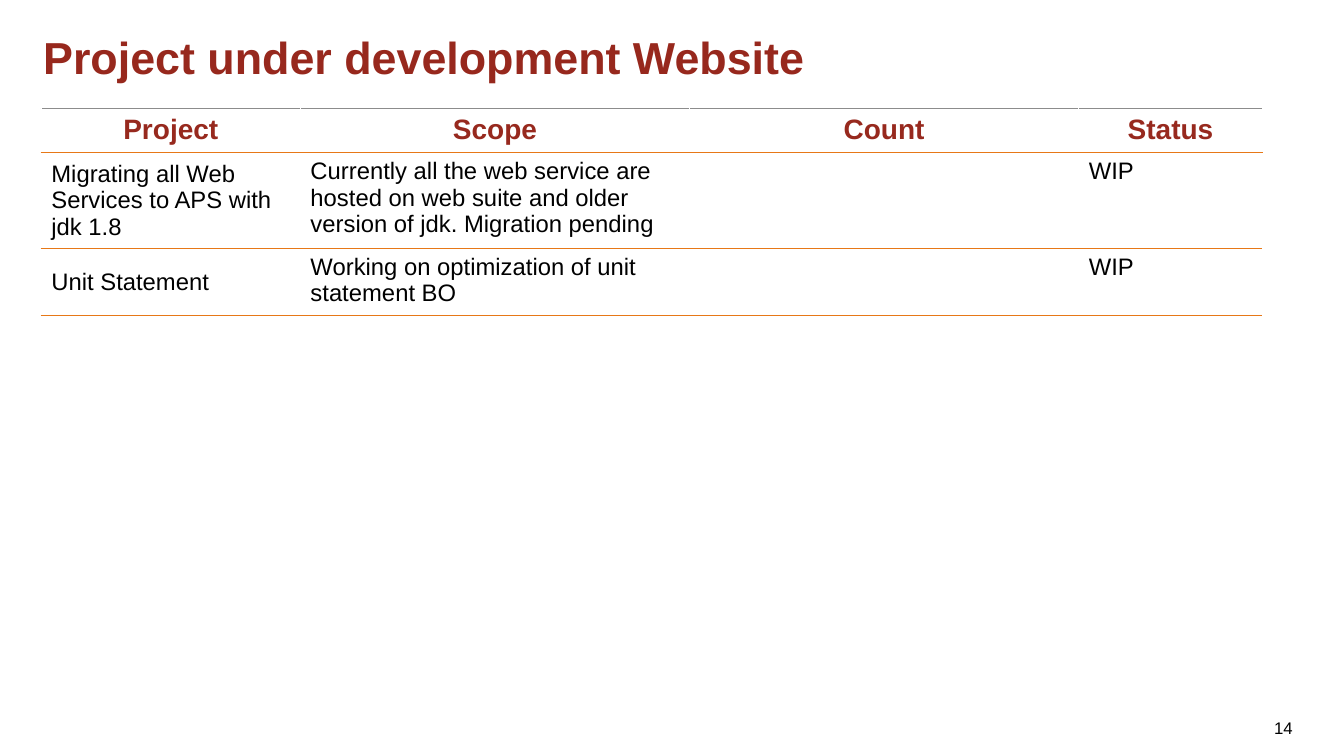
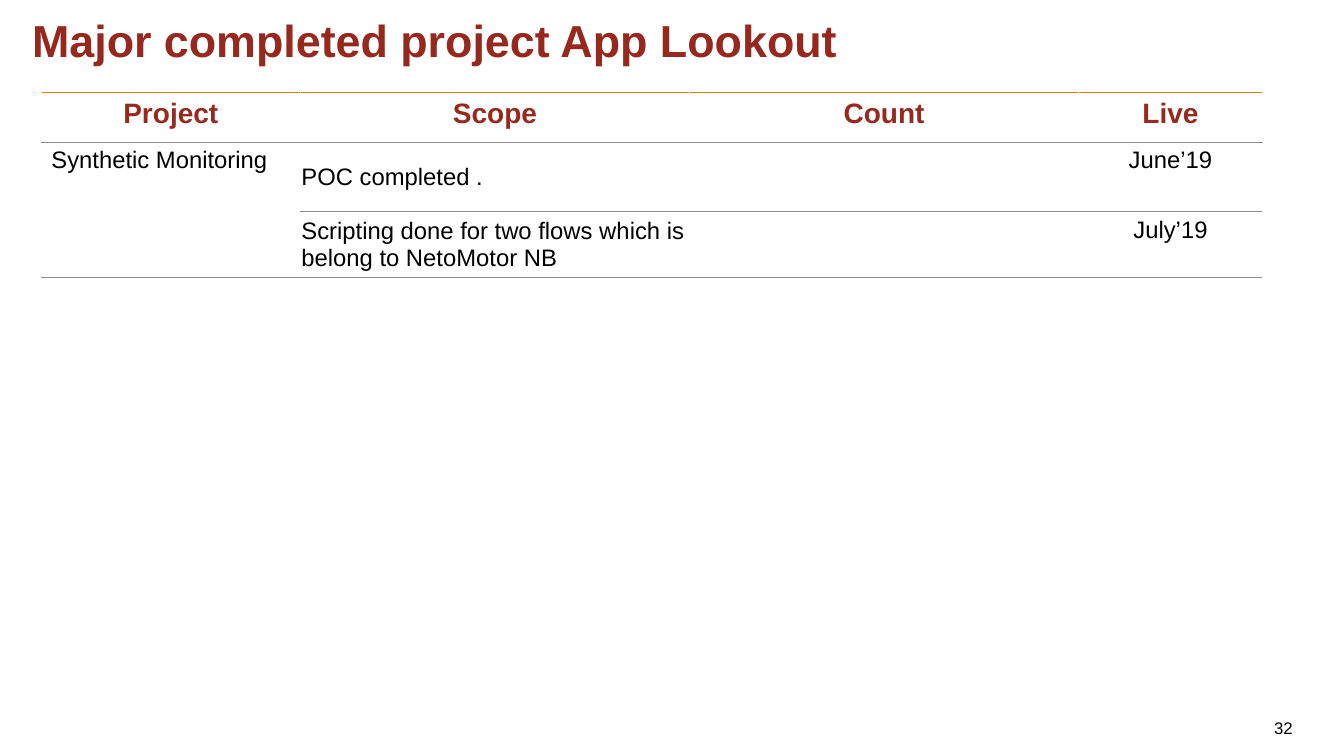
import dataclasses

import lxml.etree
import pptx
import pptx.dml.color
import pptx.enum.text
import pptx.oxml.ns
import pptx.util

ALIGN = pptx.enum.text.PP_ALIGN
ANCHOR = pptx.enum.text.MSO_ANCHOR
COLUMN_WIDTHS = [257, 386, 386, 182]


@dataclasses.dataclass(frozen=True)
class Theme:
    font: str = "Arial"
    title_color: str = "97281D"
    header_color: str = "97291E"
    text_color: str = "000000"
    orange: str = "E77817"
    grey: str = "8C8C8C"
    white: str = "FFFFFF"
    title_size: int = 32
    header_size: int = 20
    body_size: int = 17
    number_size: int = 12


def px(length):
    return pptx.util.Emu(length * 9144)


def apply_format(target, values):
    for name, value in values.items():
        setattr(target, name, value)


class Deck:
    def __init__(self, theme):
        self.theme = theme
        self.presentation = pptx.Presentation()
        apply_format(self.presentation, {"slide_width": px(1333), "slide_height": px(750)})
        self.slide = None

    def add_slide(self, title, title_box, number):
        theme = self.theme
        self.slide = self.presentation.slides.add_slide(self.presentation.slide_layouts[6])
        self.add_text(title, title_box, theme.title_size, theme.title_color, bold=True)
        self.add_text(number, (1225, 702, 67, 40), theme.number_size, theme.text_color,
                      align=ALIGN.RIGHT, anchor=ANCHOR.MIDDLE)

    def fill_text(self, text_frame, text, size, color, bold=False, align=ALIGN.LEFT):
        paragraph = text_frame.paragraphs[0]
        paragraph.alignment = align
        run = paragraph.add_run()
        run.text = text
        apply_format(run.font, {"name": self.theme.font, "size": pptx.util.Pt(size), "bold": bold})
        run.font.color.rgb = pptx.dml.color.RGBColor.from_string(color)

    def add_text(self, text, box, size, color, bold=False, align=ALIGN.LEFT, anchor=ANCHOR.TOP):
        shape = self.slide.shapes.add_textbox(*map(px, box))
        apply_format(shape.text_frame, {"word_wrap": True, "vertical_anchor": anchor})
        self.fill_text(shape.text_frame, text, size, color, bold, align)

    def set_borders(self, cell, colors):
        properties = cell._tc.get_or_add_tcPr()
        for side, color in zip("LRTB", colors):
            line = lxml.etree.SubElement(properties, pptx.oxml.ns.qn(f"a:ln{side}"), w="12700")
            fill = "solidFill" if color else "noFill"
            fill_element = lxml.etree.SubElement(line, pptx.oxml.ns.qn(f"a:{fill}"))
            if color:
                lxml.etree.SubElement(fill_element, pptx.oxml.ns.qn("a:srgbClr"), val=color)

    def add_table(self, top, row_heights, rows, top_color, rule_color, divided_columns=(),
                  formats=None, alignments=None):
        theme = self.theme
        formats = formats or {}
        alignments = alignments or {}
        table = self.slide.shapes.add_table(
            len(rows), len(COLUMN_WIDTHS), px(41), px(top),
            px(sum(COLUMN_WIDTHS)), px(sum(row_heights))).table
        apply_format(table, {"first_row": False, "horz_banding": False})
        for column, width in zip(table.columns, COLUMN_WIDTHS):
            column.width = px(width)
        for row_index, (height, texts) in enumerate(zip(row_heights, rows)):
            table.rows[row_index].height = px(height)
            is_header = row_index == 0
            for column_index, text in enumerate(texts):
                cell = table.cell(row_index, column_index)
                side = theme.white if is_header or column_index in divided_columns else None
                upper = top_color if is_header else rule_color
                self.set_borders(cell, (side, side, upper, rule_color))
                cell.fill.background()
                if is_header:
                    self.fill_text(cell.text_frame, text, theme.header_size, theme.header_color,
                                   True, ALIGN.CENTER)
                    continue
                apply_format(cell, formats.get(column_index, {}))
                if text:
                    self.fill_text(cell.text_frame, text, theme.body_size, theme.text_color,
                                   align=alignments.get(column_index, ALIGN.LEFT))
        return table


def main():
    theme = Theme()
    deck = Deck(theme)

    deck.add_slide("Project under development Website", (33, 25, 1091, 75), "14")
    deck.add_table(
        108, [41, 89, 64],
        [["Project", "Scope", "Count", "Status"],
         ["Migrating all Web Services to APS with jdk 1.8",
          "Currently all the web service are hosted on web suite and older version of jdk. "
          "Migration pending", "", "WIP"],
         ["Unit Statement", "Working on optimization of unit statement BO", "", "WIP"]],
        theme.grey, theme.orange, divided_columns=(0,),
        formats={0: {"vertical_anchor": ANCHOR.MIDDLE}})

    deck.add_slide("Major completed project App Lookout", (22, 8, 1278, 82), "32")
    scope_format = {"vertical_anchor": ANCHOR.MIDDLE, "margin_left": px(1),
                    "margin_right": px(1), "margin_top": px(1), "margin_bottom": px(0)}
    table = deck.add_table(
        92, [49, 69, 65],
        [["Project", "Scope", "Count", "Live"],
         ["Synthetic Monitoring", "POC completed .", "", "June’19"],
         ["", "Scripting done for two flows which is belong to NetoMotor NB", "", "July’19"]],
        theme.orange, theme.grey, formats={1: scope_format}, alignments={3: ALIGN.CENTER})
    table.cell(1, 0).merge(table.cell(2, 0))

    deck.presentation.save("out.pptx")


if __name__ == "__main__":
    main()
